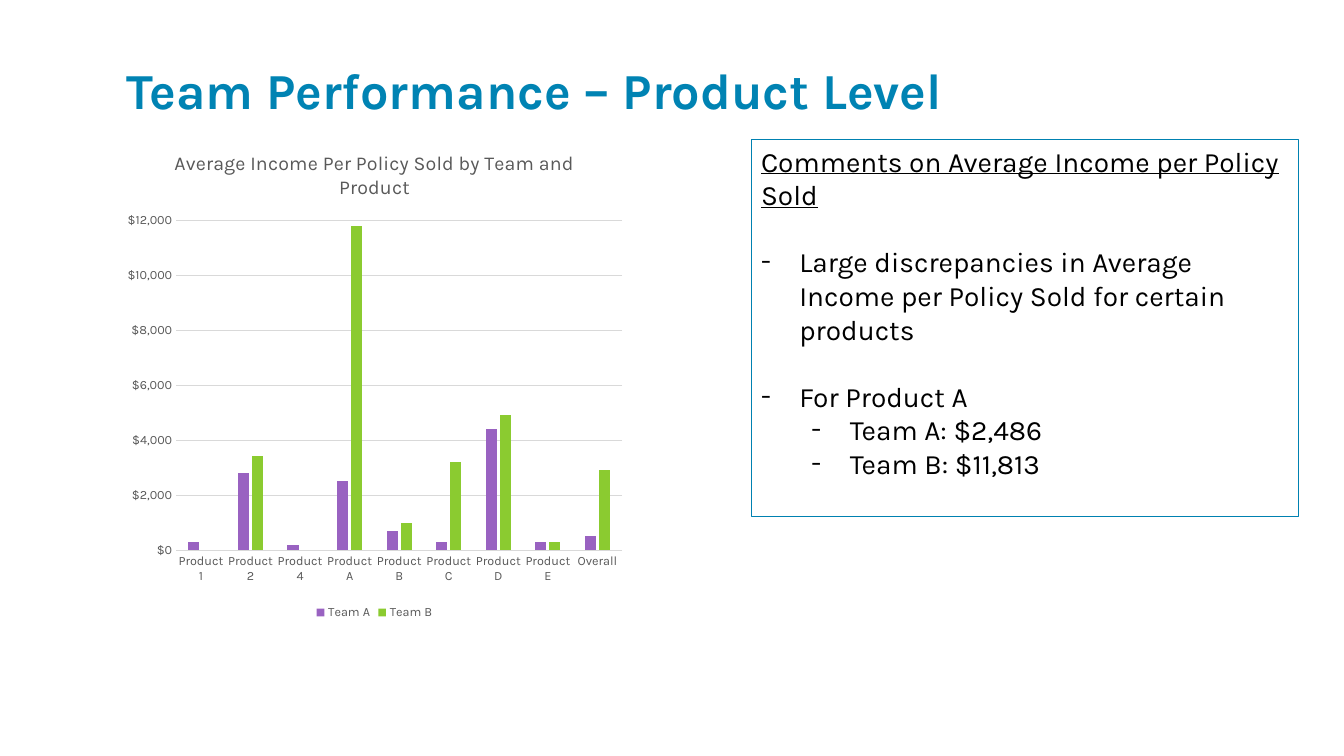
from dataclasses import dataclass

from lxml import etree
from pptx import Presentation
from pptx.chart.data import CategoryChartData
from pptx.dml.color import RGBColor as Color
from pptx.enum.chart import XL_CHART_TYPE as ChartType, XL_LEGEND_POSITION as LegendPosition, XL_TICK_MARK as TickMark
from pptx.enum.shapes import MSO_SHAPE as ShapeKind
from pptx.enum.text import MSO_ANCHOR as Anchor, PP_ALIGN as Align
from pptx.oxml import parse_xml
from pptx.oxml.ns import nsdecls, qn
from pptx.util import Inches, Pt


@dataclass(frozen=True)
class Theme:
    """Fonts, colours and type sizes of the slide."""
    font: str = "Karla"
    heading: str = "0083B3"
    border: str = "0081B1"
    ink: str = "000000"
    muted: str = "595959"
    grid: str = "D9D9D9"
    team_a: str = "9962C1"
    team_b: str = "8BCB30"
    heading_size: int = 36
    body_size: int = 20
    chart_title_size: int = 14
    label_size: int = 9
    line_width: float = 0.75


class SlideBuilder:
    """Adds styled elements to one slide."""

    def __init__(self, slide, theme):
        self.slide = slide
        self.theme = theme

    def style(self, font, size, color, bold=False, underline=False):
        """Apply the theme typeface and the given look to a font."""
        font.name = self.theme.font
        font.size = Pt(size)
        font.color.rgb = Color.from_string(color)
        font.bold = bold
        font.underline = underline

    def rule(self, line, color):
        """Draw a thin line in a colour."""
        line.color.rgb = Color.from_string(color)
        line.width = Pt(self.theme.line_width)

    def heading(self, text, left, top, width, height):
        """Add the slide heading."""
        box = self.slide.shapes.add_textbox(*map(Inches, (left, top, width, height)))
        frame = box.text_frame
        frame.word_wrap = True
        frame.vertical_anchor = Anchor.MIDDLE
        paragraph = frame.paragraphs[0]
        paragraph.line_spacing = 0.8
        run = paragraph.add_run()
        run.text = text
        self.style(run.font, self.theme.heading_size, self.theme.heading, bold=True)

    def bullet(self, paragraph, level):
        """Give a paragraph a hanging dash."""
        paragraph.level = level
        properties = paragraph._p.get_or_add_pPr()
        properties.set("marL", str(Inches(0.38 + 0.5 * level)))
        properties.set("indent", str(Inches(-0.38)))
        properties.append(parse_xml(f'<a:buFont {nsdecls("a")} typeface="{self.theme.font}"/>'))
        properties.append(parse_xml(f'<a:buChar {nsdecls("a")} char="-"/>'))

    def comments(self, title, points, left, top, width, height):
        """Add an outlined box with an underlined title and dashed points."""
        shape = self.slide.shapes.add_shape(ShapeKind.RECTANGLE, *map(Inches, (left, top, width, height)))
        shape.shadow.inherit = False
        shape.fill.background()
        self.rule(shape.line, self.theme.border)
        frame = shape.text_frame
        frame.word_wrap = True
        frame.vertical_anchor = Anchor.TOP
        for index, (text, level) in enumerate([(title, 0), *points]):
            paragraph = frame.paragraphs[0] if index == 0 else frame.add_paragraph()
            paragraph.alignment = Align.LEFT
            if index:
                paragraph.space_before = Pt(0 if level else 24)
                self.bullet(paragraph, level)
            run = paragraph.add_run()
            run.text = text
            self.style(run.font, self.theme.body_size, self.theme.ink, underline=index == 0)

    def column_chart(self, title, categories, series, left, top, width, height):
        """Add a clustered column chart; series holds name, values and colour."""
        data = CategoryChartData(number_format="[$$-4809]#,##0")
        data.categories = categories
        for name, values, _ in series:
            data.add_series(name, values)
        chart = self.slide.shapes.add_chart(
            ChartType.COLUMN_CLUSTERED, *map(Inches, (left, top, width, height)), data).chart
        self.style(chart.font, self.theme.label_size, self.theme.muted)
        chart.has_title = True
        run = chart.chart_title.text_frame.paragraphs[0].add_run()
        run.text = title
        self.style(run.font, self.theme.chart_title_size, self.theme.muted)
        chart.chart_title.include_in_layout = False
        chart.has_legend = True
        chart.legend.position = LegendPosition.BOTTOM
        chart.legend.include_in_layout = False
        self.style(chart.legend.font, self.theme.label_size, self.theme.muted)
        for axis in (chart.category_axis, chart.value_axis):
            axis.major_tick_mark = axis.minor_tick_mark = TickMark.NONE
            self.style(axis.tick_labels.font, self.theme.label_size, self.theme.muted)
        self.rule(chart.category_axis.format.line, self.theme.grid)
        value_axis = chart.value_axis
        value_axis.format.line.fill.background()
        value_axis.minimum_scale, value_axis.maximum_scale, value_axis.major_unit = 0, 12000, 2000
        value_axis.tick_labels.number_format = "[$$-4809]#,##0"
        value_axis.tick_labels.number_format_is_linked = False
        self.rule(value_axis.major_gridlines.format.line, self.theme.grid)
        plot = chart.plots[0]
        plot.gap_width, plot.overlap, plot.vary_by_categories = 219, -27, False
        for columns, (_, _, color) in zip(plot.series, series):
            columns.format.fill.solid()
            columns.format.fill.fore_color.rgb = Color.from_string(color)
        self.place_plot(chart, x=0.115, y=0.179, w=0.866, h=0.671)

    def place_plot(self, chart, **fractions):
        """Fix the inner plot area as fractions of the chart."""
        area = chart._chartSpace.chart.plotArea
        for layout in area.findall(qn("c:layout")):
            area.remove(layout)
        layout = etree.Element(qn("c:layout"))
        manual = etree.SubElement(layout, qn("c:manualLayout"))
        settings = {"layoutTarget": "inner", "xMode": "edge", "yMode": "edge", **fractions}
        for name, value in settings.items():
            etree.SubElement(manual, qn(f"c:{name}")).set("val", str(value))
        area.insert(0, layout)


def main():
    """Build and save the slide."""
    presentation = Presentation()
    presentation.slide_width, presentation.slide_height = Inches(13.33), Inches(7.5)
    theme = Theme()
    builder = SlideBuilder(presentation.slides.add_slide(presentation.slide_layouts[6]), theme)
    builder.heading("Team Performance – Product Level", 1.16, 0.58, 9.5, 0.73)
    builder.comments(
        "Comments on Average Income per Policy Sold",
        [
            ("Large discrepancies in Average Income per Policy Sold for certain products", 0),
            ("For Product A", 0),
            ("Team A: $2,486", 1),
            ("Team B: $11,813", 1),
        ],
        7.45, 1.38, 5.43, 3.74)
    builder.column_chart(
        "Average Income Per Policy Sold by Team and Product",
        [f"Product {code}" for code in "124ABCDE"] + ["Overall"],
        [
            ("Team A", [300, 2800, 200, 2500, 700, 300, 4400, 300, 500], theme.team_a),
            ("Team B", [None, 3400, None, 11800, 1000, 3200, 4900, 300, 2900], theme.team_b),
        ],
        1.16, 1.31, 5.11, 4.88)
    presentation.save("out.pptx")


if __name__ == "__main__":
    main()
